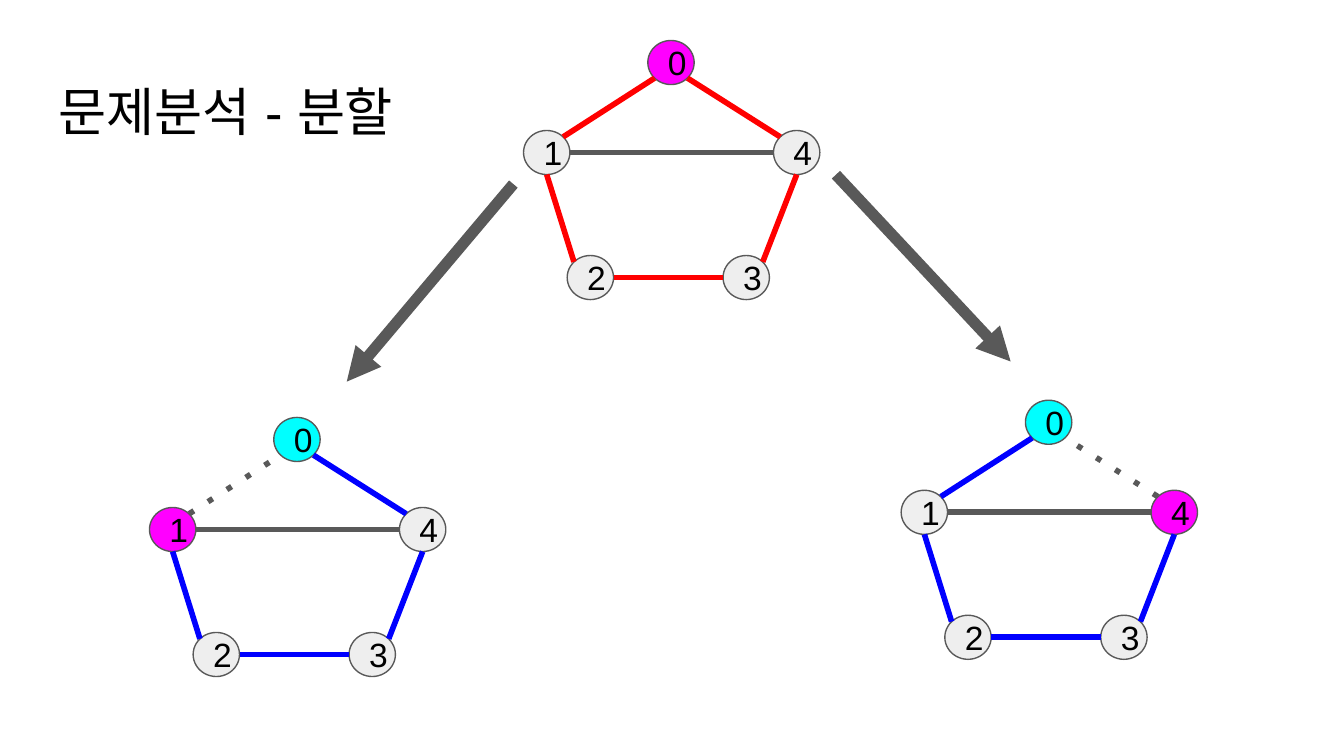
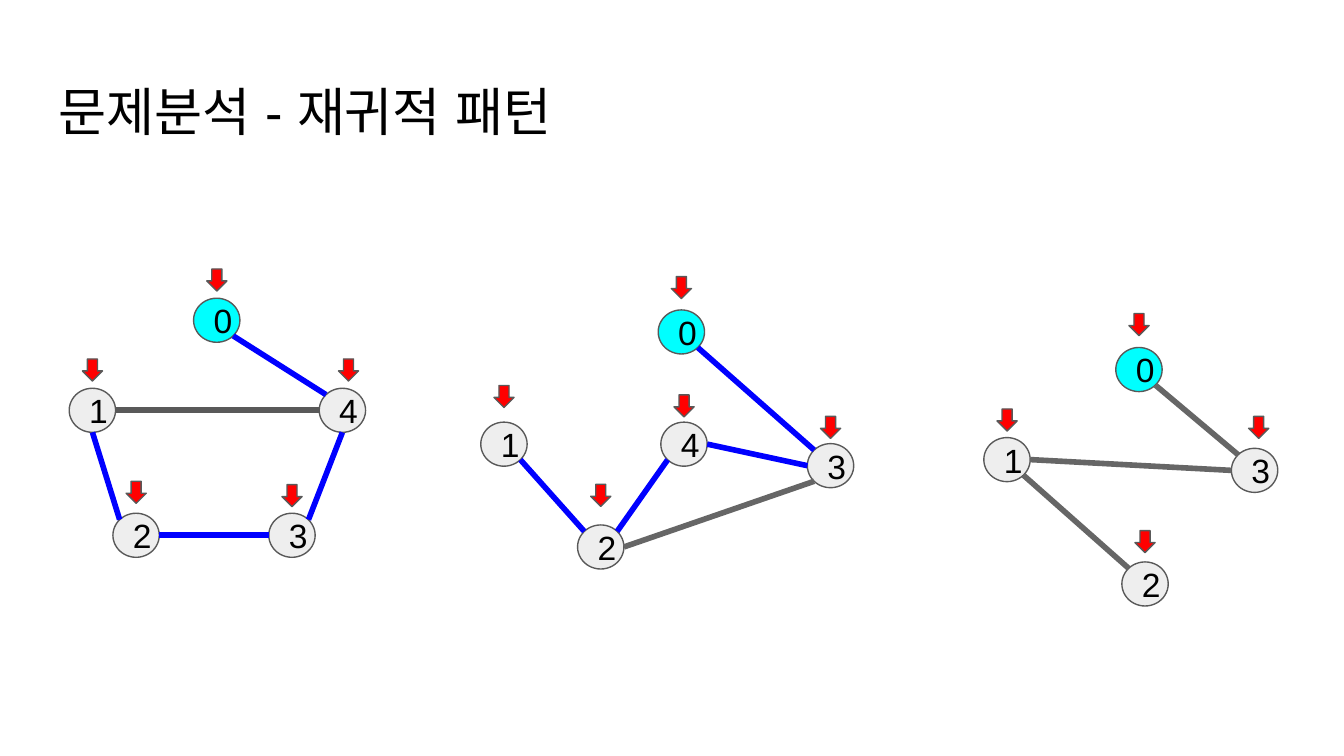
import pptx
import pptx.util
import pptx.dml.color
import pptx.enum.shapes
import pptx.enum.text
import pptx.oxml.ns
import lxml.etree

RGBColor = pptx.dml.color.RGBColor
BLACK = RGBColor(0x00, 0x00, 0x00)
RED = RGBColor(0xFF, 0x00, 0x00)
BLUE = RGBColor(0x00, 0x00, 0xFF)
CYAN = RGBColor(0x00, 0xFF, 0xFF)
MAGENTA = RGBColor(0xFF, 0x00, 0xFF)
LIGHT = RGBColor(0xEE, 0xEE, 0xEE)
PALE = RGBColor(0xEF, 0xEF, 0xEF)
DARK = RGBColor(0x59, 0x59, 0x59)
GRAY = RGBColor(0x66, 0x66, 0x66)
FONT = "Arial"

presentation = pptx.Presentation()
presentation.slide_width = pptx.util.Inches(10)
presentation.slide_height = pptx.util.Inches(5.625)

# Grid: 100 square cells across the slide, all positions in cells
CELL = presentation.slide_width / 100
NODE_WIDTH, NODE_HEIGHT = 3.45, 3.28
MARKER_WIDTH, MARKER_HEIGHT = 1.5, 1.64

# Points on a node's rim, as shares of its half width and half height
RIM = {"T": (0, -1), "B": (0, 1), "L": (-1, 0), "R": (1, 0),
       "TL": (-0.71, -0.71), "TR": (0.71, -0.71),
       "BL": (-0.71, 0.71), "BR": (0.71, 0.71)}

# The pentagon: node places relative to node 0, and its edges
PENTAGON = {0: (0, 0), 1: (-9.25, 6.7), 2: (-6, 16), 3: (5.6, 16), 4: (9.35, 6.7)}
EDGE_01 = (1, "TR", 0, "BL")
EDGE_04 = (4, "TL", 0, "BR")
EDGE_14 = (1, "R", 4, "L")
LOWER = [(1, "B", 2, "TL"), (2, "R", 3, "L"), (3, "TR", 4, "B")]


def add_filled(slide, kind, center, size, fill):
    shape = slide.shapes.add_shape(
        kind, int((center[0] - size[0] / 2) * CELL), int((center[1] - size[1] / 2) * CELL),
        int(size[0] * CELL), int(size[1] * CELL))
    shape.shadow.inherit = False
    shape.fill.solid()
    shape.fill.fore_color.rgb = fill
    shape.line.color.rgb = DARK
    shape.line.width = pptx.util.Pt(0.75)
    return shape


def add_line(slide, start, end, color, width=3, detail=None, value=None):
    connector = slide.shapes.add_connector(
        pptx.enum.shapes.MSO_CONNECTOR.STRAIGHT,
        *[int(length * CELL) for length in (*start, *end)])
    connector.line.color.rgb = color
    connector.line.width = pptx.util.Pt(width)
    if detail:
        line = connector.line._get_or_add_ln()
        element = lxml.etree.SubElement(line, pptx.oxml.ns.qn(detail))
        element.set("val" if detail == "a:prstDash" else "type", value)
    lxml.etree.SubElement(connector._element.spPr, pptx.oxml.ns.qn("a:effectLst"))


# Each graph: place of node 0, node places, special fills, edges by color,
# dotted edges, and markers as (shift, lift) from each node
split_graphs = [
    ((49.93, 4.65), PENTAGON, {0: MAGENTA},
     {RED: [EDGE_01, *LOWER, EDGE_04], DARK: [EDGE_14]}, [], {}),
    ((22.1, 32.7), PENTAGON, {0: CYAN, 1: MAGENTA},
     {BLUE: [*LOWER, EDGE_04], DARK: [EDGE_14]}, [EDGE_01], {}),
    ((78.03, 31.42), PENTAGON, {0: CYAN, 1: PALE, 4: MAGENTA},
     {BLUE: [EDGE_01, *LOWER], DARK: [EDGE_14]}, [EDGE_04], {}),
]
recursive_graphs = [
    ((16.13, 23.83), PENTAGON, {0: CYAN},
     {BLUE: [*LOWER, EDGE_04], DARK: [EDGE_14]}, [],
     {0: (0, 3), 1: (0, 3), 2: (0, 3.2), 3: (0, 2.95), 4: (0.45, 3)}),
    ((50.7, 24.7), {0: (0, 0), 1: (-13.2, 8.35), 2: (-6, 16), 4: (0.2, 8.35), 3: (11.1, 9.95)},
     {0: CYAN},
     {BLUE: [(1, "BR", 2, "TL"), (4, "R", 3, "L"), (3, "TL", 0, "BR"), (2, "TR", 4, "BL")],
      GRAY: [(2, "R", 3, "BL")]}, [],
     {0: (0, 3.3), 1: (0, 3.55), 2: (0, 3.85), 3: (0, 2.85), 4: (0, 2.85)}),
    ((84.75, 27.5), {0: (0, 0), 1: (-9.82, 6.7), 2: (0.45, 15.95), 3: (8.6, 7.5)},
     {0: CYAN},
     {GRAY: [(1, "BR", 2, "TL"), (1, "R", 3, "L"), (3, "TL", 0, "BR")]}, [],
     {0: (0, 3.35), 1: (0, 2.95), 2: (0, 3.15), 3: (0.3, 3.2)}),
]
# Arrows from the first graph to the two it splits into
split_arrows = [((38.2, 13.7), (25.8, 28.4)), ((62.2, 13), (75.2, 26.9))]

slides = [("문제분석 - 분할", split_graphs, split_arrows),
          ("문제분석 - 재귀적 패턴", recursive_graphs, [])]

for title, graphs, arrows in slides:
    slide = presentation.slides.add_slide(presentation.slide_layouts[6])

    # Title
    box = slide.shapes.add_textbox(
        *[int(length * CELL) for length in (3.4, 4.87, 93.2, 6.26)])
    frame = box.text_frame
    frame.word_wrap = True
    frame.margin_left = frame.margin_right = int(CELL)
    frame.margin_top = frame.margin_bottom = int(CELL)
    run = frame.paragraphs[0].add_run()
    run.text = title
    run.font.name = FONT
    run.font.size = pptx.util.Pt(28)
    run.font.color.rgb = BLACK
    east_asian = lxml.etree.SubElement(run.font._element, pptx.oxml.ns.qn("a:ea"))
    east_asian.set("typeface", FONT)

    for origin, places, fills, edges, dotted, markers in graphs:
        centers = {label: (origin[0] + x, origin[1] + y) for label, (x, y) in places.items()}

        # Nodes
        for label, center in centers.items():
            node = add_filled(slide, pptx.enum.shapes.MSO_SHAPE.OVAL, center,
                              (NODE_WIDTH, NODE_HEIGHT), fills.get(label, LIGHT))
            frame = node.text_frame
            frame.word_wrap = True
            frame.vertical_anchor = pptx.enum.text.MSO_ANCHOR.MIDDLE
            frame.margin_left = frame.margin_right = int(CELL)
            frame.margin_top = frame.margin_bottom = int(CELL)
            paragraph = frame.paragraphs[0]
            paragraph.alignment = pptx.enum.text.PP_ALIGN.CENTER
            run = paragraph.add_run()
            run.text = str(label)
            run.font.name = FONT
            run.font.size = pptx.util.Pt(18)
            run.font.color.rgb = BLACK

        # Edges, solid and dotted
        styled = [(edge, color, ()) for color, group in edges.items() for edge in group]
        styled += [(edge, DARK, ("a:prstDash", "dot")) for edge in dotted]
        for (first, first_rim, last, last_rim), color, dash in styled:
            start, end = [
                (centers[label][0] + RIM[rim][0] * NODE_WIDTH / 2,
                 centers[label][1] + RIM[rim][1] * NODE_HEIGHT / 2)
                for label, rim in ((first, first_rim), (last, last_rim))]
            add_line(slide, start, end, color, 3, *dash)

        # Markers above the nodes
        for label, (shift, lift) in markers.items():
            x, y = centers[label]
            add_filled(slide, pptx.enum.shapes.MSO_SHAPE.DOWN_ARROW, (x + shift, y - lift),
                       (MARKER_WIDTH, MARKER_HEIGHT), RED)

    # Split arrows
    for start, end in arrows:
        add_line(slide, start, end, DARK, 6, "a:tailEnd", "triangle")

presentation.save("out.pptx")
